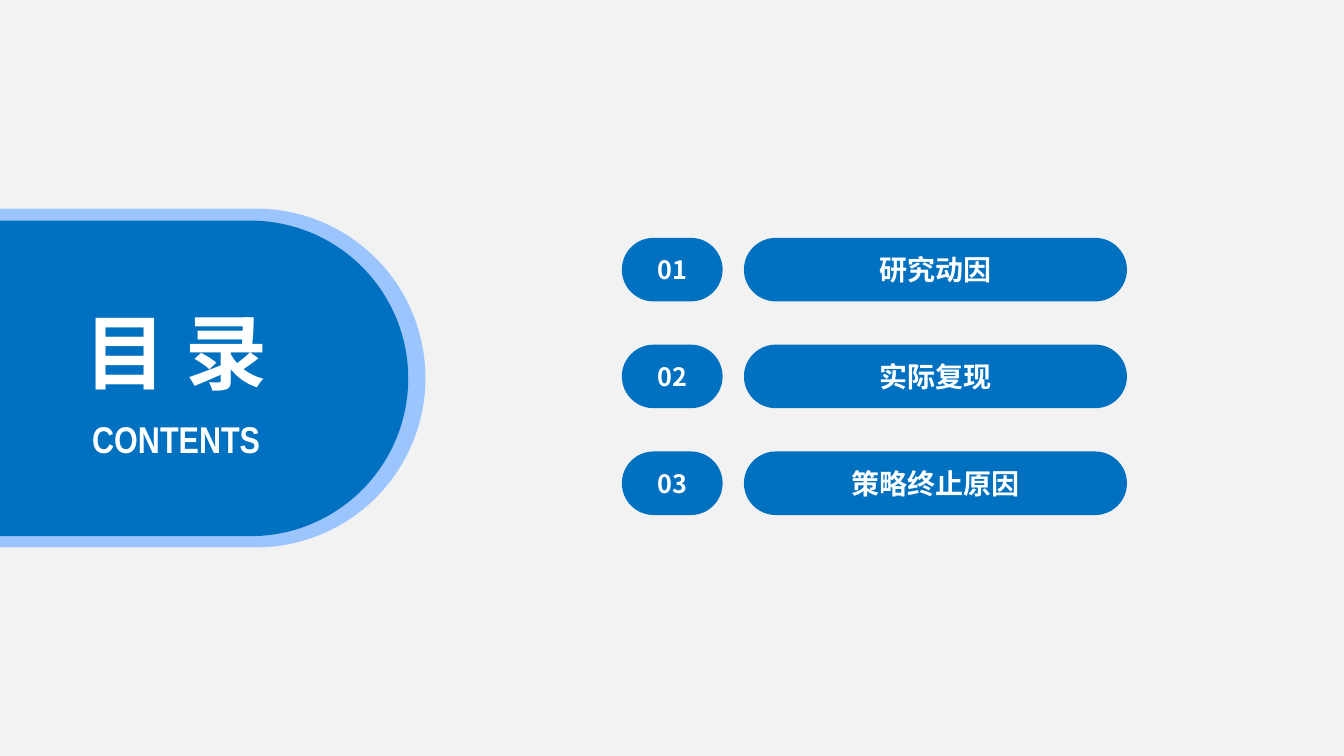
from lxml import etree
from pptx import Presentation
from pptx.dml.color import RGBColor
from pptx.enum import shapes, text
from pptx.oxml import ns
from pptx.util import Pt

BLUE = RGBColor(0x00, 0x70, 0xC0)
PALE = RGBColor(0x9C, 0xC5, 0xFD)
GREY = RGBColor(0xF2, 0xF2, 0xF2)
WHITE = RGBColor(0xFF, 0xFF, 0xFF)
SANS = "Noto Sans CJK SC"
NARROW = "Arial Narrow"

TOPICS = ["研究动因", "实际复现", "策略终止原因"]
TOP, PITCH, HIGH = 169.9, 76.3, 45.4


def write(frame, words, size, face, wrap=True):
    """Put one bold, white, centred run in a text frame."""
    frame.word_wrap = wrap
    frame.auto_size = text.MSO_AUTO_SIZE.NONE
    frame.vertical_anchor = text.MSO_ANCHOR.MIDDLE
    para = frame.paragraphs[0]
    para.alignment = text.PP_ALIGN.CENTER
    run = para.add_run()
    run.text = words
    font = run.font
    font.size, font.bold, font.name = Pt(size), True, face
    font.color.rgb = WHITE
    # Chinese glyphs take their font from the East Asian slot
    asian = etree.SubElement(run._r.get_or_add_rPr(), ns.qn("a:ea"))
    asian.set("typeface", face)


def add_pill(slide, left, top, width, height, fill):
    """Draw a bar with fully rounded ends."""
    pill = slide.shapes.add_shape(
        shapes.MSO_SHAPE.ROUNDED_RECTANGLE,
        Pt(left), Pt(top), Pt(width), Pt(height))
    pill.adjustments[0] = 0.5
    pill.shadow.inherit = False
    pill.fill.solid()
    pill.fill.fore_color.rgb = fill
    pill.line.fill.background()
    return pill


def add_topic(slide, index, topic):
    """Draw a number badge and its topic bar."""
    top = TOP + index * PITCH
    badge = add_pill(slide, 444.2, top, 72, HIGH, BLUE)
    write(badge.text_frame, f"{index + 1:02d}", 18, SANS)
    bar = add_pill(slide, 531.4, top, 273.6, HIGH, BLUE)
    write(bar.text_frame, topic, 20, SANS)


def set_title(slide, words):
    """Place the title in front of the panel."""
    title = slide.shapes.title
    title.left, title.top = Pt(50.4), Pt(211)
    title.width, title.height = Pt(150.5), Pt(78.5)
    write(title.text_frame, words, 58.6, SANS, wrap=False)
    tree = title.element.getparent()
    tree.append(title.element)


def add_label(slide, words):
    """Add the line under the title."""
    label = slide.shapes.add_textbox(
        Pt(44.6), Pt(293.8), Pt(162.7), Pt(39.6))
    write(label.text_frame, words, 26.6, NARROW, wrap=False)


def main():
    deck = Presentation()
    deck.slide_width, deck.slide_height = Pt(960), Pt(540)
    slide = deck.slides.add_slide(deck.slide_layouts.get_by_name("Title Only"))

    # Background
    slide.background.fill.solid()
    slide.background.fill.fore_color.rgb = GREY

    # Title panel, running in from the left edge
    add_pill(slide, -141.1, 149, 445, 242, PALE)
    add_pill(slide, -122.4, 157.6, 414, 225.4, BLUE)
    set_title(slide, "目 录")
    add_label(slide, "CONTENTS")

    # Topics
    for index, topic in enumerate(TOPICS):
        add_topic(slide, index, topic)

    deck.save("out.pptx")


if __name__ == "__main__":
    main()
